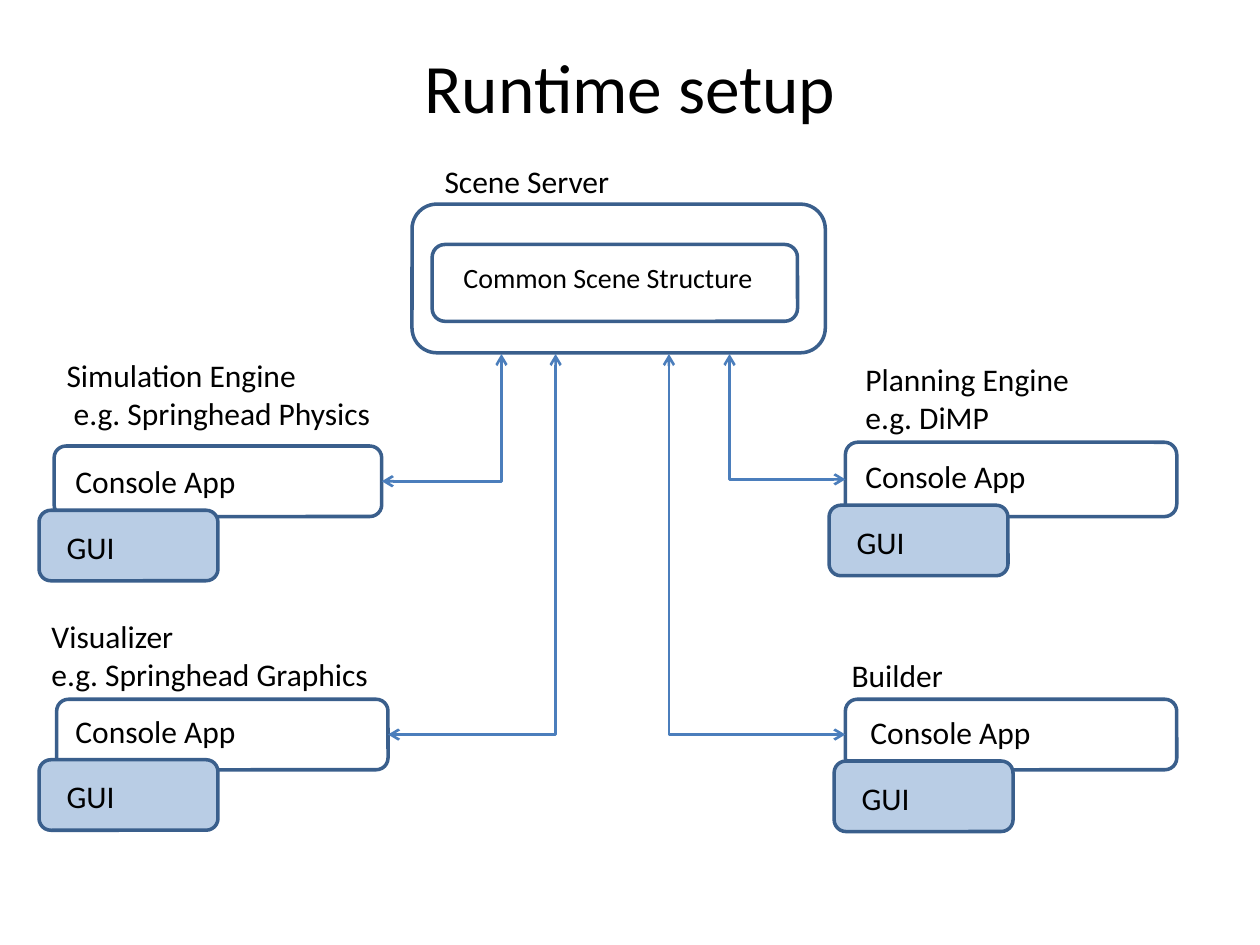
import dataclasses

import pptx
import pptx.dml.color
import pptx.enum.shapes
import pptx.enum.text
import pptx.oxml
import pptx.oxml.ns
import pptx.util
from pptx.util import Inches


@dataclasses.dataclass(frozen=True)
class Theme:
    """Colours, font and type sizes of the slide."""
    font: str = "Calibri"
    ink: str = "000000"
    outline: str = "3A5F8C"
    arrow: str = "4B7EBC"
    gui: str = "B9CDE5"
    title_size: float = 39.6
    label_size: float = 18
    inner_size: float = 16
    outline_width: float = 2
    arrow_width: float = 1.5


def rgb(code):
    """Turn a hex code into a colour."""
    return pptx.dml.color.RGBColor.from_string(code)


def write(frame, text, *, font, size, color, align="LEFT", anchor="TOP"):
    """Write text into a frame, one paragraph per line."""
    frame.word_wrap = True
    frame.vertical_anchor = getattr(pptx.enum.text.MSO_ANCHOR, anchor)
    for index, line in enumerate(text.split("\n")):
        paragraph = frame.add_paragraph() if index else frame.paragraphs[0]
        paragraph.alignment = getattr(pptx.enum.text.PP_ALIGN, align)
        run = paragraph.add_run()
        run.text = line
        run.font.name = font
        run.font.size = pptx.util.Pt(size)
        run.font.color.rgb = rgb(color)


class Diagram:
    """Draws styled elements on one slide."""

    def __init__(self, slide, theme):
        """Keep the slide and its theme."""
        self.slide = slide
        self.theme = theme

    def label(self, text, left, top, width, height=0.4, size=None, **layout):
        """Add a text box."""
        box = self.slide.shapes.add_textbox(
            Inches(left), Inches(top), Inches(width), Inches(height))
        write(box.text_frame, text, font=self.theme.font, color=self.theme.ink,
              size=size or self.theme.label_size, **layout)

    def box(self, left, top, width, height, fill=None):
        """Add an outlined rounded box."""
        shape = self.slide.shapes.add_shape(
            pptx.enum.shapes.MSO_SHAPE.ROUNDED_RECTANGLE,
            Inches(left), Inches(top), Inches(width), Inches(height))
        shape.shadow.inherit = False
        if fill:
            shape.fill.solid()
            shape.fill.fore_color.rgb = rgb(fill)
        else:
            shape.fill.background()
        shape.line.color.rgb = rgb(self.theme.outline)
        shape.line.width = pptx.util.Pt(self.theme.outline_width)

    def link(self, start, end):
        """Add a one-bend arrow with heads at both ends, horizontal part first."""
        link = self.slide.shapes.add_connector(
            pptx.enum.shapes.MSO_CONNECTOR.ELBOW, *map(Inches, start + end))
        link.line.color.rgb = rgb(self.theme.arrow)
        link.line.width = pptx.util.Pt(self.theme.arrow_width)
        properties = link._element.spPr
        properties.find(pptx.oxml.ns.qn("a:prstGeom")).set("prst", "bentConnector2")
        line = properties.find(pptx.oxml.ns.qn("a:ln"))
        for tag in ("headEnd", "tailEnd"):
            line.append(pptx.oxml.parse_xml(
                f'<a:{tag} {pptx.oxml.ns.nsdecls("a")} type="arrow"/>'))
        properties.append(pptx.oxml.parse_xml(
            f'<a:effectLst {pptx.oxml.ns.nsdecls("a")}/>'))

    def client(self, name, name_at, console, gui_at, port, server_bottom):
        """Add a client: name, console box, GUI box and link to the server."""
        left, top, width, height = console
        gui_left, gui_top = gui_at
        self.box(*console)
        self.label(name, *name_at)
        self.label("Console App", gui_left + 0.19, gui_top - 0.43, 1.89)
        self.box(gui_left, gui_top, 1.42, 0.56, fill=self.theme.gui)
        self.label("GUI", gui_left + 0.12, gui_top + 0.09, 0.94)
        side = left + width if port > left else left
        self.link((side, top + height / 2), (port, server_bottom))


CLIENTS = [
    ("Simulation Engine\n e.g. Springhead Physics", (0.43, 2.78, 2.76, 0.71),
     (0.43, 3.54, 2.6, 0.56), (0.31, 4.05), 3.98),
    ("Visualizer\ne.g. Springhead Graphics", (0.31, 4.85, 2.95, 0.71),
     (0.45, 5.55, 2.63, 0.56), (0.31, 6.03), 4.41),
    ("Planning Engine\ne.g. DiMP", (6.77, 2.81, 1.97, 0.71),
     (6.71, 3.51, 2.63, 0.59), (6.58, 4.01), 5.79),
    ("Builder", (6.66, 5.16, 1.38, 0.4),
     (6.71, 5.55, 2.63, 0.56), (6.62, 6.04), 5.31),
]


def main():
    """Build the slide and save it."""
    deck = pptx.Presentation()
    deck.slide_width, deck.slide_height = Inches(10), Inches(7.5)
    theme = Theme()
    diagram = Diagram(deck.slides.add_slide(deck.slide_layouts[6]), theme)

    diagram.label("Runtime setup", 0.5, 0.3, 9, 0.77, size=theme.title_size,
                  align="CENTER", anchor="MIDDLE")
    diagram.box(3.27, 1.62, 3.28, 1.18)
    diagram.label("Scene Server", 3.43, 1.24, 1.97)
    diagram.box(3.43, 1.94, 2.9, 0.61)
    diagram.label("Common Scene Structure", 3.58, 2.02, 2.68, 0.37,
                  size=theme.inner_size)
    for client in CLIENTS:
        diagram.client(*client, server_bottom=2.81)

    deck.save("out.pptx")


main()
